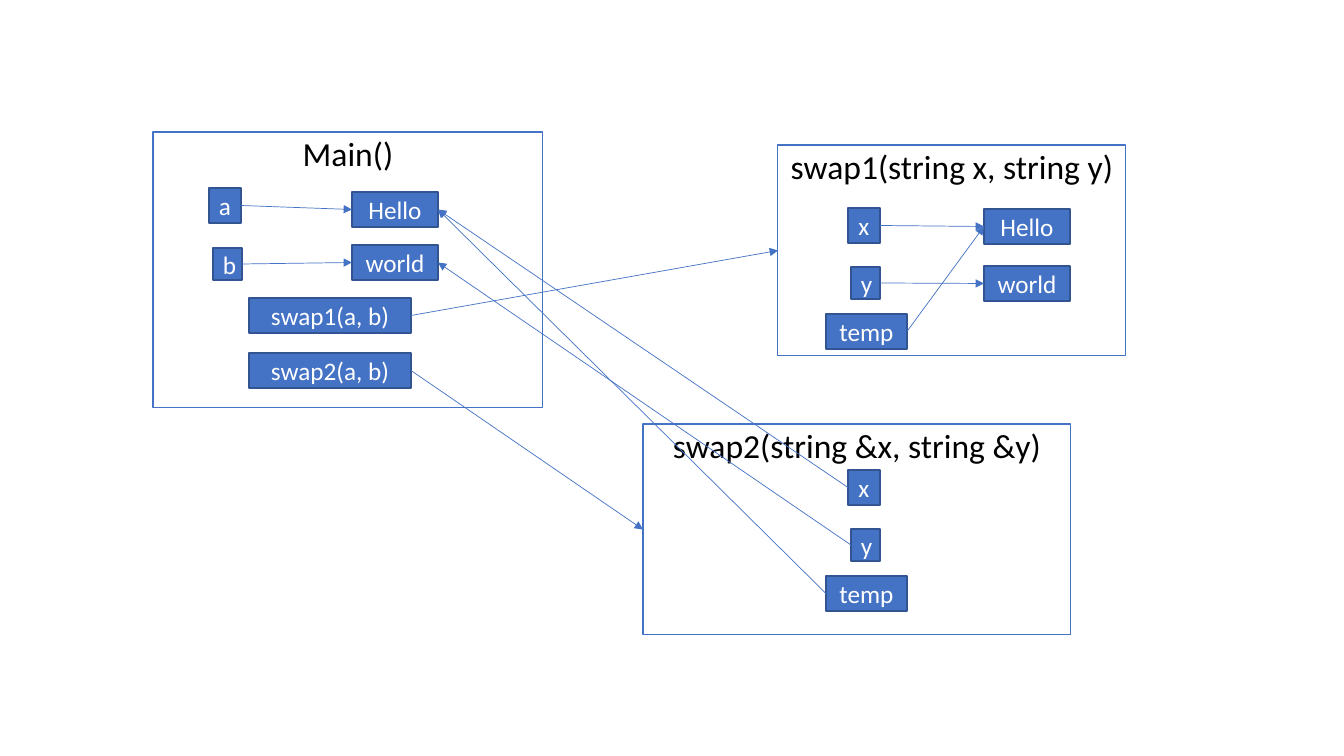
from lxml.etree import SubElement
from pptx import Presentation
from pptx.dml.color import RGBColor as RGB
from pptx.enum.shapes import MSO_CONNECTOR as CONNECTOR, MSO_SHAPE as SHAPE
from pptx.enum.text import MSO_ANCHOR as ANCHOR, MSO_AUTO_SIZE as AUTO, PP_ALIGN as ALIGN
from pptx.oxml.ns import qn
from pptx.util import Emu, Pt

# Content: scopes, each with its heading and its frame (left, top, width, height)
SCOPES = {
    "swap1": ("swap1(string x, string y)", (778, 145, 348, 211)),
    "main": ("Main()", (153, 132, 390, 276)),
    "swap2": ("swap2(string &x, string &y)", (643, 424, 428, 211)),
}
SIZES = {"a": (32, 35), "x": (32, 35), "b": (29, 32), "y": (29, 32),
         "Hello": (86, 35), "world": (86, 35), "temp": (81, 35),
         "swap1(a, b)": (162, 35), "swap2(a, b)": (162, 35)}
CELLS = {  # left, top of each cell
    "main": {"a": (209, 188), "b": (213, 248),
             "Hello": (352, 192), "world": (352, 245),
             "swap1(a, b)": (249, 298), "swap2(a, b)": (249, 353)},
    "swap1": {"x": (848, 208), "y": (851, 267), "temp": (826, 314),
              "Hello": (984, 209), "world": (984, 266)},
}
# swap2 holds the same locals as swap1, lower down
LOCALS_DROP = 262
CELLS["swap2"] = {name: (left, top + LOCALS_DROP)
                  for name, (left, top) in CELLS["swap1"].items()
                  if name in ("x", "y", "temp")}

LEFT, RIGHT = 1, 3  # connection sites of a rectangle
ARROWS = [  # (scope, cell), side left from -> (scope, cell), side reached
    (("main", "a"), RIGHT, ("main", "Hello"), LEFT),
    (("main", "b"), RIGHT, ("main", "world"), LEFT),
    (("swap1", "x"), RIGHT, ("swap1", "Hello"), LEFT),
    (("swap1", "y"), RIGHT, ("swap1", "world"), LEFT),
    (("swap1", "temp"), RIGHT, ("swap1", "Hello"), LEFT),
    (("main", "swap1(a, b)"), RIGHT, ("swap1", None), LEFT),
    (("main", "swap2(a, b)"), RIGHT, ("swap2", None), LEFT),
    (("swap2", "x"), LEFT, ("main", "Hello"), RIGHT),
    (("swap2", "y"), LEFT, ("main", "world"), RIGHT),
    (("swap2", "temp"), LEFT, ("main", "Hello"), RIGHT),
]

BLUE = RGB.from_string("4472C4")
THEME = {
    "scope": {
        "fill": None, "line": BLUE, "width": Pt(0.75),
        "font": {"name": "Calibri", "size": Pt(24)}, "ink": RGB(0, 0, 0),
        "frame": {"vertical_anchor": ANCHOR.TOP, "word_wrap": True, "auto_size": AUTO.NONE},
        "paragraph": {"alignment": ALIGN.CENTER, "line_spacing": 0.9, "space_before": Pt(10)},
    },
    "cell": {
        "fill": BLUE, "line": RGB.from_string("325491"), "width": Pt(1),
        "font": {"name": "Calibri", "size": Pt(18)}, "ink": RGB(255, 255, 255),
        "frame": {"vertical_anchor": ANCHOR.MIDDLE, "word_wrap": True},
        "paragraph": {"alignment": ALIGN.CENTER},
    },
    "arrow": {"line": BLUE, "width": Pt(0.5)},
}
PX = 914400 / 100.8


def px(*lengths):
    return [Emu(round(length * PX)) for length in lengths]


def assign(target, values):
    for name, value in values.items():
        setattr(target, name, value)


def stroke(part, look):
    part.line.color.rgb = look["line"]
    part.line.width = look["width"]


def dress(box, words, look):
    if look["fill"] is None:
        box.fill.background()
    else:
        box.fill.solid()
        box.fill.fore_color.rgb = look["fill"]
    stroke(box, look)
    assign(box.text_frame, look["frame"])
    paragraph = box.text_frame.paragraphs[0]
    assign(paragraph, look["paragraph"])
    run = paragraph.add_run()
    run.text = words
    assign(run.font, look["font"])
    run.font.color.rgb = look["ink"]


def add_box(bounds):
    box = slide.shapes.add_shape(SHAPE.RECTANGLE, *px(*bounds))
    box.shadow.inherit = False
    return box


deck = Presentation()
deck.slide_width, deck.slide_height = px(1344, 756)
slide = deck.slides.add_slide(deck.slide_layouts[0])
title, subtitle = slide.placeholders
title.element.getparent().remove(title.element)

# Scope frames: the subtitle placeholder carries swap1
parts = {}
for scope, (heading, bounds) in SCOPES.items():
    if scope == "swap1":
        frame = subtitle
        assign(frame, dict(zip(("left", "top", "width", "height"), px(*bounds))))
    else:
        frame = add_box(bounds)
    dress(frame, heading, THEME["scope"])
    parts[scope, None] = frame

# Variables, values and calls
for scope, cells in CELLS.items():
    for name, corner in cells.items():
        parts[scope, name] = add_box(corner + SIZES[name])
        dress(parts[scope, name], name, THEME["cell"])

# Arrows glued to the boxes
for source, source_side, target, target_side in ARROWS:
    arrow = slide.shapes.add_connector(CONNECTOR.STRAIGHT, 0, 0, 0, 0)
    arrow.begin_connect(parts[source], source_side)
    arrow.end_connect(parts[target], target_side)
    stroke(arrow, THEME["arrow"])
    SubElement(arrow.line._get_or_add_ln(), qn("a:tailEnd"), type="triangle")
    SubElement(arrow.element.spPr, qn("a:effectLst"))

deck.save("out.pptx")
